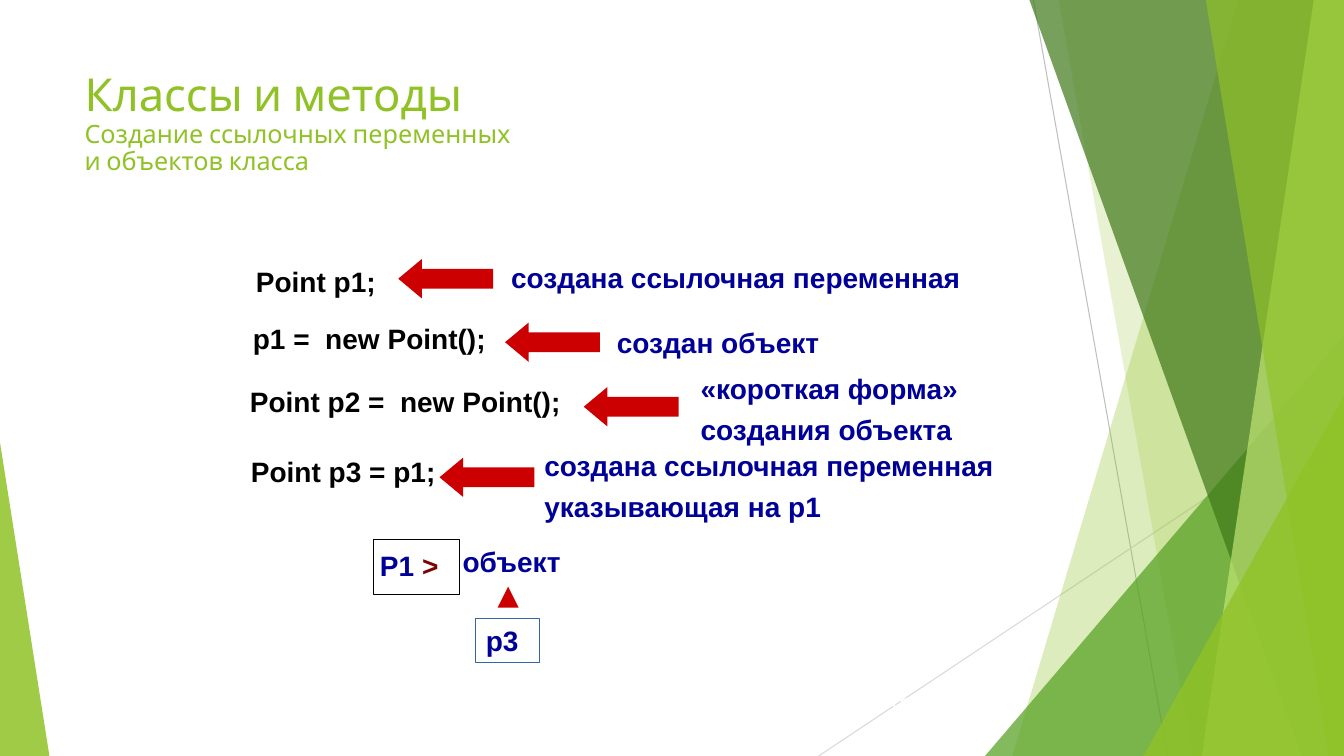
from lxml import etree
from pptx import Presentation
from pptx.dml.color import RGBColor
from pptx.enum.shapes import MSO_CONNECTOR, MSO_SHAPE
from pptx.enum.text import MSO_ANCHOR, PP_ALIGN
from pptx.oxml.ns import qn
from pptx.util import Inches, Pt

LINE = MSO_CONNECTOR.STRAIGHT
ARROW = MSO_SHAPE.LEFT_ARROW
RECT = MSO_SHAPE.RECTANGLE
WEDGE = MSO_SHAPE.ISOSCELES_TRIANGLE
TOP = MSO_ANCHOR.TOP
LEFT, RIGHT = PP_ALIGN.LEFT, PP_ALIGN.RIGHT

COLORS = {
    "lime": "90C226", "green": "54A021", "dark": "3F7819", "pale": "C0E474",
    "gray": "BFBFBF", "light": "D9D9D9", "red": "CC0000", "maroon": "800000",
    "navy": "000099", "black": "000000", "blue": "3465A4", "white": "FFFFFF",
}
BODY = {"name": "Arial", "size": Pt(20), "bold": True}
HEAD = {"name": "Cabin", "size": Pt(32.4), "bold": False}
SUB = {**HEAD, "size": Pt(18)}
PAGE = {"name": "Arial", "size": Pt(14), "bold": False}
WIDE, HIGH = 13.33, 7.5


class Deck:
    """Hold the style and the current slide, and draw each kind of element."""

    def __init__(self):
        self.file = Presentation()
        self.file.slide_width, self.file.slide_height = Inches(WIDE), Inches(HIGH)
        self.slide = self.file.slides.add_slide(self.file.slide_layouts[6])
        self.shapes = self.slide.shapes

    def tint(self, color):
        return RGBColor.from_string(COLORS[color])

    def paint(self, shape, color=None, alpha=100, edge=None):
        shape.shadow.inherit = False
        if color:
            shape.fill.solid()
            shape.fill.fore_color.rgb = self.tint(color)
            if alpha < 100:
                tone = shape.element.spPr.find(".//" + qn("a:srgbClr"))
                etree.SubElement(tone, qn("a:alpha")).set("val", str(alpha * 1000))
        else:
            shape.fill.background()
        if edge:
            shape.line.color.rgb = self.tint(edge)
            shape.line.width = Pt(0.75)
        else:
            shape.line.fill.background()

    def shape(self, kind, box, adjust=(), **look):
        shape = self.shapes.add_shape(kind, *map(Inches, box))
        for i, value in enumerate(adjust):
            shape.adjustments[i] = value
        self.paint(shape, **look)
        return shape

    def facet(self, points, color, alpha):
        start, *rest = [(Inches(x), Inches(y)) for x, y in points]
        form = self.shapes.build_freeform(*start)
        form.add_line_segments(rest, close=True)
        self.paint(form.convert_to_shape(), color, alpha)

    def line(self, ends, color, width, tip=False):
        line = self.shapes.add_connector(LINE, *map(Inches, ends))
        line.line.color.rgb = self.tint(color)
        line.line.width = Pt(width)
        props = line.element.spPr
        if tip:
            edge = props.find(qn("a:ln"))
            etree.SubElement(edge, qn("a:tailEnd")).set("type", "triangle")
        etree.SubElement(props, qn("a:effectLst"))

    def label(self, shape, paras, align=LEFT, **extra):
        frame = shape.text_frame
        frame.word_wrap, frame.vertical_anchor = True, TOP
        for i, runs in enumerate(paras):
            para = frame.add_paragraph() if i else frame.paragraphs[0]
            for key, value in {"alignment": align, "space_before": Pt(5 if i else 0), **extra}.items():
                setattr(para, key, value)
            for j, (words, color, style) in enumerate(runs):
                if j and style is SUB:
                    para.add_line_break()
                run = para.add_run()
                run.text = words
                run.font.color.rgb = self.tint(color)
                for key, value in style.items():
                    setattr(run.font, key, value)

    def text(self, box, paras, **extra):
        self.label(self.shapes.add_textbox(*map(Inches, box)), paras, **extra)

    def body(self, box, lines, color):
        self.text(box, [[(words, color, BODY)] for words in lines])


deck = Deck()
deck.line((10.25, 0, 11.58, HIGH), "gray", 0.75)
deck.line((WIDE, 4.03, 8.12, HIGH), "light", 0.75)


def facets(rows):
    for top, base, color, alpha in rows:
        deck.facet([(top, 0), (WIDE, 0), (WIDE, HIGH), (base, HIGH)], color, alpha)


def wedge(left, top, width, apex, color, alpha):
    deck.shape(WEDGE, (left, top, width, HIGH - top), [apex], color=color, alpha=alpha)


facets([(12.28, 10.04, "lime", 30), (10.5, 11.83, "lime", 20)])
wedge(9.77, 3.33, 3.56, 1, "green", 72)
facets([(10.21, 12.91, "dark", 70), (13.03, 11.92, "pale", 70), (11.96, 13.18, "lime", 65)])
wedge(11.34, 3.93, 1.99, 1, "lime", 80)
wedge(0, 4.39, 0.49, 0, "lime", 85)

deck.text((0.74, 0.67, 9.4, 1.44), [[
    ("Классы и методы", "lime", HEAD),
    ("Создание ссылочных переменных", "lime", SUB),
    ("и объектов класса", "lime", SUB),
]], line_spacing=0.9)
deck.text((7.83, 6.83, 1.3, 0.5), [[("13", "white", PAGE)]], align=RIGHT)

STEPS = [
    ("Point p1;", (2.44, 2.57, 1.54), (3.95, 2.57),
     ["создана ссылочная переменная"], (4.97, 2.54, 5.42)),
    ("p1 =  new Point();", (2.41, 3.14, 3.27), (5.01, 3.2),
     ["создан объект"], (6.02, 3.18, 2.96)),
    ("Point p3 = p1;", (2.39, 4.46, 2.24), (4.36, 4.54),
     ["создана ссылочная переменная", "указывающая на p1"], (5.3, 4.4, 4.88)),
    ("Point p2 =  new Point();", (2.38, 3.77, 4.04), (5.79, 3.84),
     ["«короткая форма»", "создания объекта"], (6.85, 3.64, 3.78)),
]
for code, place, arrow, notes, spot in STEPS:
    deck.body((*place, 0.43), [code], "black")
    deck.shape(ARROW, (*arrow, 0.94, 0.39), [0.5, 0.6], color="red")
    deck.body((*spot, 0.43 if len(notes) == 1 else 0.84), notes, "navy")

deck.text((3.67, 5.39, 0.89, 0.43), [[("P1 ", "navy", BODY), (">", "maroon", BODY)]])
target = deck.shape(RECT, (4.72, 6.14, 0.63, 0.43), edge="blue")
deck.label(target, [[("p3", "navy", BODY)]])
deck.line((5.04, 5.98, 5.04, 5.82), "red", 5, tip=True)
deck.body((4.49, 5.35, 1.73, 0.43), ["объект"], "navy")
deck.shape(RECT, (3.7, 5.35, 0.86, 0.55), edge="black")

deck.file.save("out.pptx")
